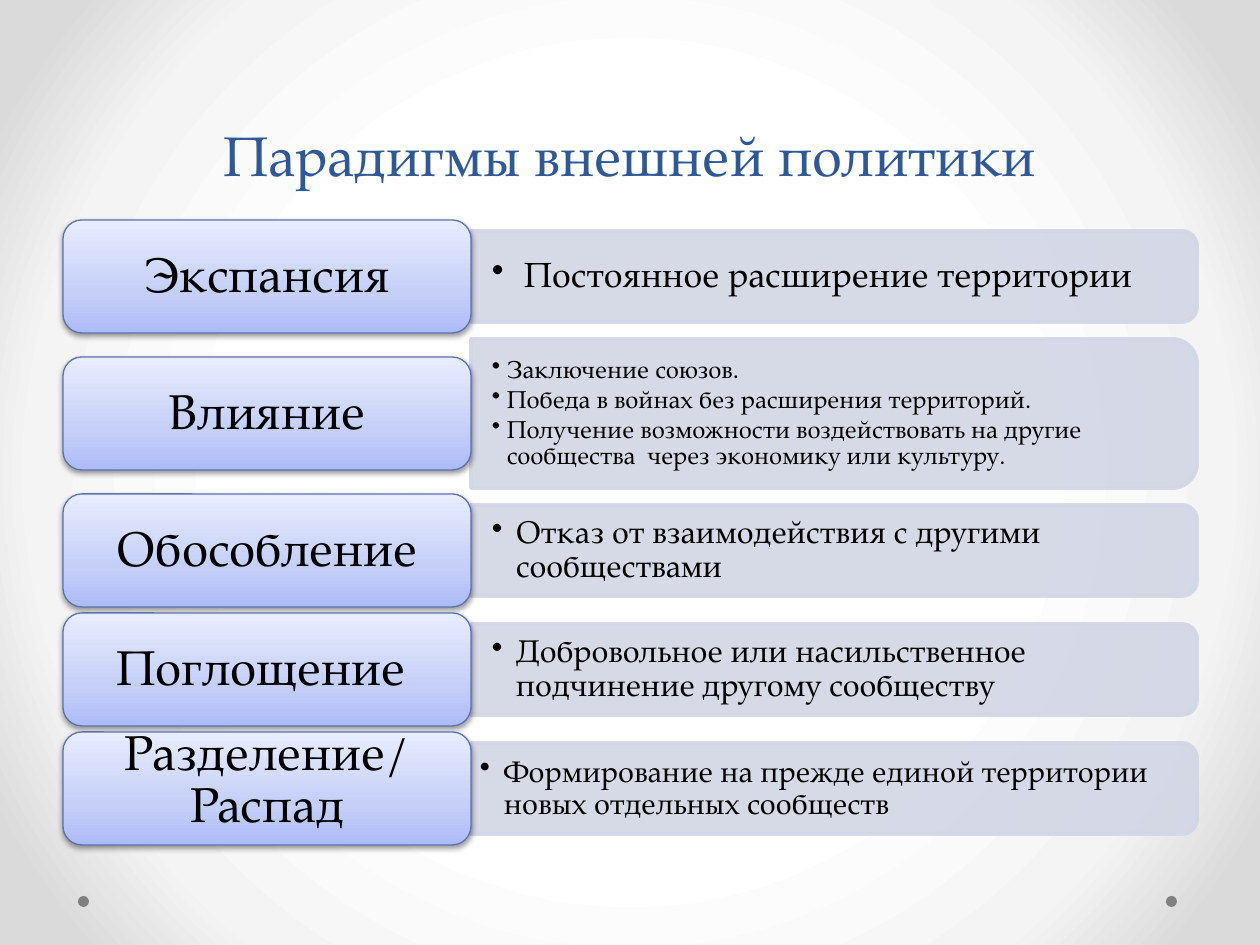
from dataclasses import dataclass

from pptx import Presentation
from pptx.dml.color import RGBColor
from pptx.enum.shapes import MSO_SHAPE
from pptx.enum.text import MSO_ANCHOR, PP_ALIGN
from pptx.oxml import parse_xml
from pptx.oxml.ns import nsdecls, qn
from pptx.util import Pt

SCALE = 914400 / 126


@dataclass(frozen=True)
class Theme:
    """Colours and type sizes of the slide."""
    font: str = "TeX Gyre Pagella"
    title: str = "2F5897"
    text: str = "000000"
    dot: str = "808080"
    panel: str = "D2D6E5"
    edge: str = "5C72B2"
    label: tuple = ((0, "ADBBF6"), (35, "C5CFF8"), (100, "E8ECFD"))
    back: tuple = ((50, "FFFFFF"), (76, "F4F4F4"), (92, "DADADA"))
    head: int = 32
    name: int = 28


THEME = Theme()
ROWS = [
    (["Экспансия"], ["Постоянное расширение территории"], 91, 20, 32, 21),
    (["Влияние"],
     ["Заключение союзов.",
      "Победа в войнах без расширения территорий.",
      "Получение возможности воздействовать на другие "
      "сообщества  через экономику или культуру."], 149, 14, 15, 21),
    (["Обособление"],
     ["Отказ от взаимодействия с другими сообществами"], 91, 18, 24, 21),
    (["Поглощение "],
     ["Добровольное или насильственное подчинение другому сообществу"],
     91, 18, 24, 21),
    (["Разделение/", "Распад"],
     ["Формирование на прежде единой территории новых отдельных сообществ"],
     91, 17, 24, 9),
]


def px(*sizes):
    """Turn px lengths into EMU."""
    return [round(size * SCALE) for size in sizes]


def blend(root, stops, way):
    """Give the first gradient under root its stops and direction."""
    marks = "".join(
        f'<a:gs pos="{pos * 1000}"><a:srgbClr val="{tone}"/></a:gs>'
        for pos, tone in stops)
    old = root.find(".//" + qn("a:gradFill"))
    new = parse_xml(f'<a:gradFill {nsdecls("a")} rotWithShape="1">'
                    f'<a:gsLst>{marks}</a:gsLst>{way}</a:gradFill>')
    old.getparent().replace(old, new)


def style(para, size, tone):
    """Set the font of a whole paragraph."""
    para.font.name = THEME.font
    para.font.size = Pt(size)
    para.font.bold = False
    para.font.color.rgb = RGBColor.from_string(tone)


def write(frame, lines, size, inset, after, align, pitch=0.9, hang=0):
    """Fill a text frame, with bullets if a hanging indent is given."""
    frame.word_wrap = True
    frame.vertical_anchor = MSO_ANCHOR.MIDDLE
    side, edge = px(*inset)
    frame.margin_left = frame.margin_right = side
    frame.margin_top = frame.margin_bottom = edge
    for num, line in enumerate(lines):
        para = frame.add_paragraph() if num else frame.paragraphs[0]
        para.text = line
        para.alignment = align
        para.line_spacing = pitch
        para.space_after = Pt(size * after)
        if hang:
            props = para._p.get_or_add_pPr()
            dent, = px(hang)
            props.set("marL", str(dent))
            props.set("indent", str(-dent))
            props.append(parse_xml(f'<a:buChar {nsdecls("a")} char="•"/>'))
        style(para, size, THEME.text)


def add_panel(slide, box, lines, size, hang, side):
    """Draw a panel rounded on the right, with its bullets."""
    left, top, width, height = box
    turn = (width - height) / 2
    shape = slide.shapes.add_shape(
        MSO_SHAPE.ROUND_2_SAME_RECTANGLE,
        *px(left + turn, top - turn, height, width))
    shape.rotation = 90
    shape.shadow.inherit = False
    tone = RGBColor.from_string(THEME.panel)
    shape.fill.solid()
    shape.fill.fore_color.rgb = tone
    shape.line.color.rgb = tone
    shape.line.width = Pt(2.25)
    for color in shape._element.spPr.iter(qn("a:srgbClr")):
        color.append(parse_xml(f'<a:alpha {nsdecls("a")} val="90000"/>'))
    text = slide.shapes.add_textbox(
        *px(left, top + height * 0.05, width - 5, height * 0.9))
    write(text.text_frame, lines, size, (side, side // 2), 0.15,
          PP_ALIGN.LEFT, hang=hang)


def add_label(slide, box, lines):
    """Draw a shaded label with a soft shadow."""
    shape = slide.shapes.add_shape(MSO_SHAPE.ROUNDED_RECTANGLE, *px(*box))
    shape.shadow.inherit = False
    shape.fill.gradient()
    props = shape._element.spPr
    blend(props, THEME.label, '<a:lin ang="16200000" scaled="0"/>')
    shape.line.color.rgb = RGBColor.from_string(THEME.edge)
    shape.line.width = Pt(0.75)
    props.find(qn("a:effectLst")).append(parse_xml(
        f'<a:outerShdw {nsdecls("a")} blurRad="40000" dist="20000" '
        'dir="5400000" rotWithShape="0"><a:srgbClr val="000000">'
        '<a:alpha val="38000"/></a:srgbClr></a:outerShdw>'))
    pitch = Pt(20) if len(lines) > 1 else 0.9
    write(shape.text_frame, lines, THEME.name, (20, 13), 0.35,
          PP_ALIGN.CENTER, pitch)


def add_rows(slide, box, gap=6, tall=113, wide=408):
    """Stack the rows, each a label centred beside its panel."""
    left, top, width = box
    for names, lines, high, size, hang, side in ROWS:
        room = max(high, tall)
        add_panel(slide, (left + wide, top + (room - high) / 2,
                          width - wide, high), lines, size, hang, side)
        add_label(slide, (left, top + (room - tall) / 2, wide, tall), names)
        top += room + gap


def add_title(slide, box, text):
    """Place and format the title."""
    title = slide.shapes.title
    title.left, title.top, title.width, title.height = px(*box)
    frame = title.text_frame
    frame.text = text
    frame.vertical_anchor = MSO_ANCHOR.BOTTOM
    para = frame.paragraphs[0]
    para.alignment = PP_ALIGN.CENTER
    style(para, THEME.head, THEME.title)


def add_back(slide, dots):
    """Shade the background and set the corner dots."""
    slide.background.fill.gradient()
    blend(slide.element, THEME.back,
          '<a:path path="circle"><a:fillToRect l="50000" t="50000" '
          'r="50000" b="50000"/></a:path>')
    for left, top in dots:
        dot = slide.shapes.add_shape(MSO_SHAPE.OVAL, *px(left, top, 11, 11))
        dot.shadow.inherit = False
        dot.fill.solid()
        dot.fill.fore_color.rgb = RGBColor.from_string(THEME.dot)
        dot.line.fill.background()


def main():
    """Build the slide and save it."""
    deck = Presentation()
    deck.slide_width, deck.slide_height = px(1260, 945)
    slide = deck.slides.add_slide(deck.slide_layouts[5])
    add_back(slide, [(1166, 896), (78, 896)])
    add_title(slide, (63, 55, 1134, 139), "Парадигмы внешней политики")
    add_rows(slide, (63, 220, 1134))
    deck.save("out.pptx")


if __name__ == "__main__":
    main()
